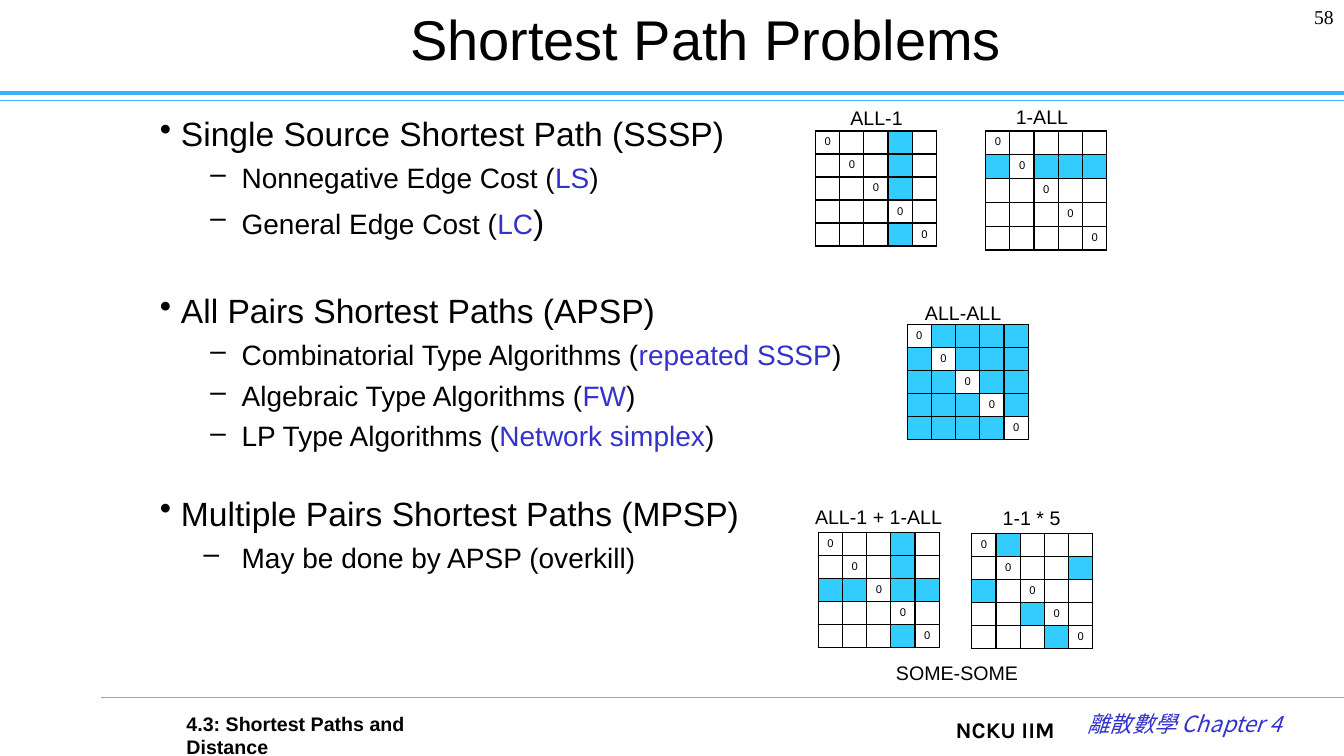
from lxml import etree
from pptx import Presentation
from pptx.dml.color import RGBColor
from pptx.enum import shapes, text
from pptx.oxml import parse_xml
from pptx.oxml.ns import nsdecls, qn
from pptx.util import Cm, Pt

BLACK = RGBColor(0x00, 0x00, 0x00)
WHITE = RGBColor(0xFF, 0xFF, 0xFF)
INDIGO = RGBColor(0x33, 0x33, 0xCC)
SKY = RGBColor(0x33, 0xCC, 0xFF)
RULE_BLUE = RGBColor(0x3D, 0xB0, 0xFF)
LEFT, CENTER, RIGHT = text.PP_ALIGN.LEFT, text.PP_ALIGN.CENTER, text.PP_ALIGN.RIGHT

deck = Presentation()
deck.slide_width, deck.slide_height = Cm(33.87), Cm(19.05)
slide = deck.slides.add_slide(deck.slide_layouts[6])


def add_run(paragraph, words, size, color=BLACK, name="Arial", **style):
    run = paragraph.add_run()
    run.text = words
    run.font.color.rgb = color
    for attribute, value in dict(size=Pt(size), name=name, **style).items():
        setattr(run.font, attribute, value)
    return run


def add_line_of_text(box, words, size, align=LEFT, anchor=text.MSO_ANCHOR.TOP, **style):
    """Place one styled run in a wrapping text box; box is x, y, width, height in cm."""
    frame = slide.shapes.add_textbox(*map(Cm, box)).text_frame
    frame.word_wrap = True
    frame.vertical_anchor = anchor
    frame.paragraphs[0].alignment = align
    return add_run(frame.paragraphs[0], words, size, **style)


# Rules under the title and above the footer
for start, y, color, weight in [
    (0, 2.54, RULE_BLUE, 0.75),
    (0, 2.34, RULE_BLUE, 2.5),
    (2.54, 17.58, SKY, 0.75),
]:
    rule = slide.shapes.add_connector(
        shapes.MSO_CONNECTOR.STRAIGHT, Cm(start), Cm(y), deck.slide_width, Cm(y))
    rule.line.color.rgb = color
    rule.line.width = Pt(weight)
    etree.SubElement(rule._element.spPr, qn("a:effectLst"))

# Title, page number and footer
add_line_of_text((4.52, 0, 26.52, 1.9), "Shortest Path Problems", 40, CENTER,
                 text.MSO_ANCHOR.MIDDLE)
add_line_of_text((31.04, 0, 2.82, 1.27), "58", 14, RIGHT, name="Times New Roman")
add_line_of_text((4.45, 17.81, 6.6, 1.2), "4.3: Shortest Paths and Distance", 14, bold=True)
add_line_of_text((21.8, 17.91, 5.03, 0.9), "NCKU IIM", 16, RIGHT, name="Karla", bold=True)
chapter = add_line_of_text((26, 17.78, 6.56, 1.1), "離散數學 Chapter 4", 16, RIGHT,
                           color=INDIGO, name="Noto Sans CJK SC", italic=True)
etree.SubElement(chapter.font._element, qn("a:ea"), typeface="Noto Sans CJK SC")

# Outline: level, space before, runs of (words, size, color)
outline = [
    (0, 0, [("Single Source Shortest Path (SSSP)", 24, BLACK)]),
    (1, 5, [("Nonnegative Edge Cost (", 20, BLACK), ("LS", 20, INDIGO), (")", 20, BLACK)]),
    (1, 5, [("General Edge Cost (", 20, BLACK), ("LC", 20, INDIGO), (")", 24, BLACK)]),
    (0, 35, [("All Pairs Shortest Paths (APSP)", 24, BLACK)]),
    (1, 5, [("Combinatorial Type Algorithms (", 20, BLACK), ("repeated SSSP", 20, INDIGO),
            (")", 20, BLACK)]),
    (1, 5, [("Algebraic Type Algorithms (", 20, BLACK), ("FW", 20, INDIGO), (")", 20, BLACK)]),
    (1, 5, [("LP Type Algorithms (", 20, BLACK), ("Network simplex", 20, INDIGO),
            (")", 20, BLACK)]),
    (0, 29, [("Multiple Pairs Shortest Paths (MPSP)", 24, BLACK)]),
    (1, 5, [("May be done by APSP (overkill)", 20, BLACK)]),
]
bullets = [("•", 0.53, 0.53), ("–", 2.06, 0.79)]
body = slide.shapes.add_textbox(Cm(3.78), Cm(2.72), Cm(25.27), Cm(14.8)).text_frame
body.word_wrap = True
for index, (level, before, runs) in enumerate(outline):
    item = body.add_paragraph() if index else body.paragraphs[0]
    item.level = level
    item.space_before = Pt(before)
    mark, margin, hanging = bullets[level]
    if index == len(outline) - 1:
        hanging = 0.96
    properties = item._p.get_or_add_pPr()
    properties.set("marL", str(Cm(margin)))
    properties.set("indent", str(-Cm(hanging)))
    etree.SubElement(properties, qn("a:buChar"), char=mark)
    for words, size, color in runs:
        add_run(item, words, size, color)

# Distance matrices: "#" is a requested pair, "0" the diagonal
matrices = [
    (20.55, 3.3, 0.58, ["0..#.", ".0.#.", "..0#.", "...0.", "...#0"]),
    (24.84, 3.3, 0.6, ["0....", "#0###", "..0..", "...0.", "....0"]),
    (22.86, 8.18, 0.58, ["0####", "#0###", "##0##", "###0#", "####0"]),
    (20.62, 13.41, 0.58, ["0..#.", ".0.#.", "##0##", "...0.", "...#0"]),
    (24.49, 13.44, 0.58, ["0#...", ".0..#", "#.0..", "..#0.", "...#0"]),
]
COLUMN = 0.61
for x, y, row_height, pattern in matrices:
    matrix = slide.shapes.add_table(
        5, 5, Cm(x), Cm(y), Cm(5 * COLUMN), Cm(5 * row_height)).table
    matrix.first_row = matrix.horz_banding = False
    for row, marks in enumerate(pattern):
        for column, mark in enumerate(marks):
            cell = matrix.cell(row, column)
            cell.margin_left, cell.margin_right = Cm(0.23), Cm(0)
            cell.margin_top = cell.margin_bottom = Cm(0.12)
            cell_properties = cell._tc.get_or_add_tcPr()
            for side in ("lnL", "lnR", "lnT", "lnB"):
                cell_properties.append(parse_xml(
                    f'<a:{side} {nsdecls("a")} w="{Pt(1)}"><a:solidFill>'
                    f'<a:srgbClr val="{BLACK}"/></a:solidFill></a:{side}>'))
            cell.fill.solid()
            cell.fill.fore_color.rgb = SKY if mark == "#" else WHITE
            entry = cell.text_frame.paragraphs[0]
            if mark == "0":
                add_run(entry, mark, 8)
            else:
                etree.SubElement(entry._p, qn("a:endParaRPr"), sz="800")

# Matrix labels
for x, y, label in [
    (25.35, 2.51, "1-ALL"),
    (21.18, 2.54, "ALL-1"),
    (23.06, 7.47, "ALL-ALL"),
    (22.33, 16.54, "SOME-SOME"),
    (25.02, 12.62, "1-1 * 5"),
    (20.29, 12.6, "ALL-1 + 1-ALL"),
]:
    add_line_of_text((x, y, 4.2, 0.86), label, 14)

deck.save("out.pptx")
